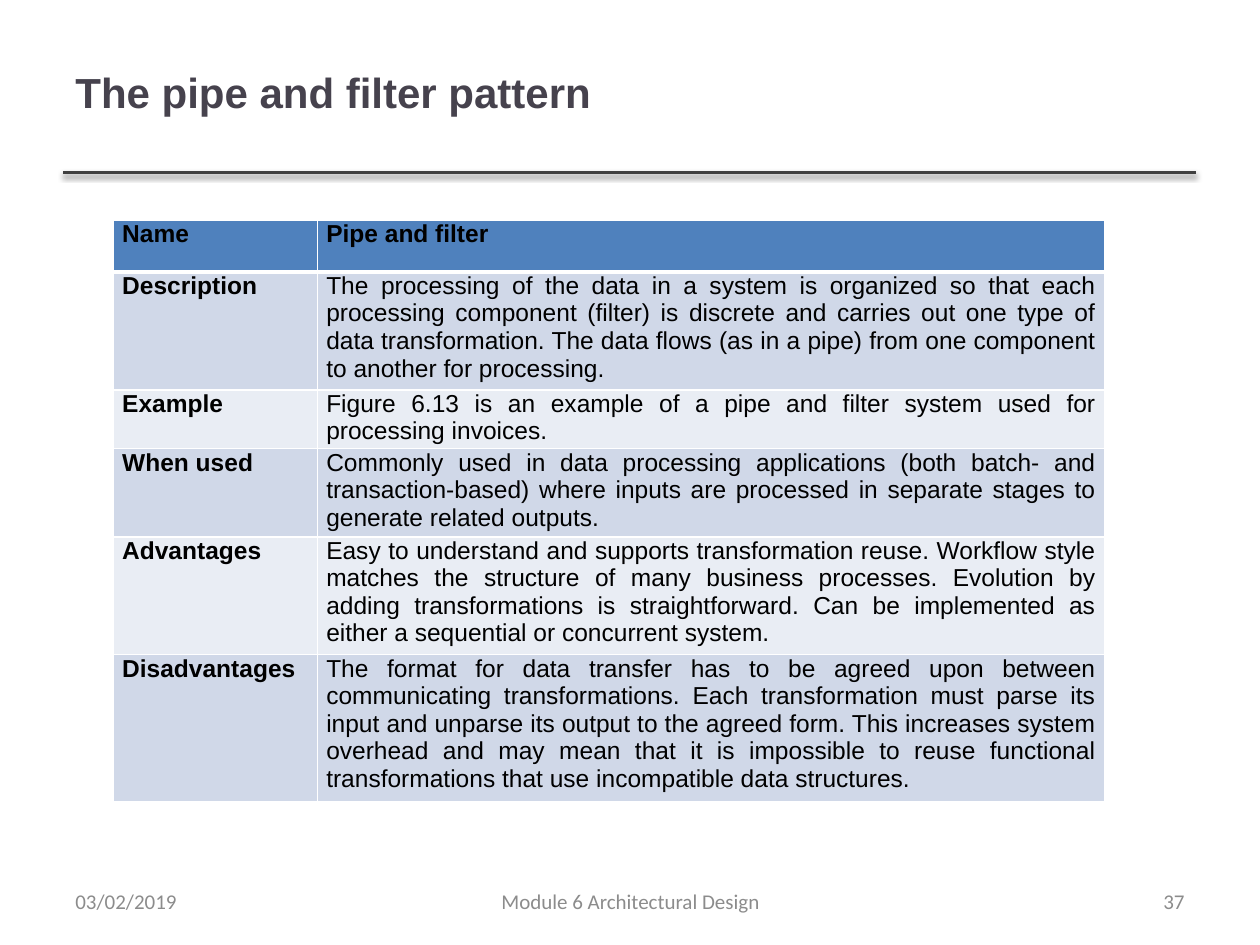
from lxml import etree
from pptx import Presentation
from pptx.dml.color import RGBColor
from pptx.enum.shapes import MSO_CONNECTOR
from pptx.enum.text import MSO_ANCHOR, PP_ALIGN
from pptx.oxml import parse_xml
from pptx.util import Inches, Pt

LEFT, CENTER, RIGHT, JUSTIFY = PP_ALIGN.LEFT, PP_ALIGN.CENTER, PP_ALIGN.RIGHT, PP_ALIGN.JUSTIFY
MIDDLE = MSO_ANCHOR.MIDDLE
NS = "http://schemas.openxmlformats.org/drawingml/2006/main"

BLACK = RGBColor(0x00, 0x00, 0x00)
TITLE_COLOR = RGBColor(0x46, 0x42, 0x4D)
RULE_COLOR = RGBColor(0x40, 0x40, 0x40)
FOOTER_COLOR = RGBColor(0x8C, 0x8C, 0x8C)
HEADER_FILL = RGBColor(0x4F, 0x81, 0xBD)
BAND_FILLS = [RGBColor(0xE9, 0xED, 0xF4), RGBColor(0xD0, 0xD8, 0xE8)]

# Content
TITLE = "The pipe and filter pattern"
ROWS = [
    ("Name", "Pipe and filter"),
    ("Description",
     "The processing of the data in a system is organized so that each processing component "
     "(filter) is discrete and carries out one type of data transformation. The data flows "
     "(as in a pipe) from one component to another for processing. "),
    ("Example",
     "Figure 6.13 is an example of a pipe and filter system used for processing invoices."),
    ("When used",
     "Commonly used in data processing applications (both batch- and transaction-based) where "
     "inputs are processed in separate stages to generate related outputs."),
    ("Advantages",
     "Easy to understand and supports transformation reuse. Workflow style matches the "
     "structure of many business processes. Evolution by adding transformations is "
     "straightforward. Can be implemented as either a sequential or concurrent system."),
    ("Disadvantages",
     "The format for data transfer has to be agreed upon between communicating "
     "transformations. Each transformation must parse its input and unparse its output to the "
     "agreed form. This increases system overhead and may mean that it is impossible to reuse "
     "functional transformations that use incompatible data structures."),
]
FOOTERS = [  # text, left, width, alignment
    ("03/02/2019", 0.5, 2.33, LEFT),
    ("Module 6 Architectural Design", 3.42, 3.17, CENTER),
    ("37", 7.17, 2.33, RIGHT),
]
COL_WIDTHS = [1.62, 6.25]
ROW_HEIGHT = 0.41


def add_run(p, text, font, size, color, bold=False):
    r = p.add_run()
    r.text = text
    r.font.name, r.font.size, r.font.bold = font, Pt(size), bold
    r.font.color.rgb = color


def add_text(s, box, text, font, size, color, bold=False, align=LEFT):
    tf = s.shapes.add_textbox(*map(Inches, box)).text_frame
    tf.word_wrap = True
    tf.vertical_anchor = MIDDLE
    p = tf.paragraphs[0]
    p.alignment = align
    add_run(p, text, font, size, color, bold)


def add_border(cell, side, width):
    cell._tc.get_or_add_tcPr().append(parse_xml(
        f'<a:ln{side} xmlns:a="{NS}" w="{Pt(width)}"><a:solidFill>'
        f'<a:srgbClr val="FFFFFF"/></a:solidFill></a:ln{side}>'))


prs = Presentation()
prs.slide_width, prs.slide_height = Inches(10), Inches(7.5)
s = prs.slides.add_slide(prs.slide_layouts[6])

# Title and the shadowed rule below it
rule = s.shapes.add_connector(MSO_CONNECTOR.STRAIGHT, Inches(0.5), Inches(1.37),
                              Inches(9.49), Inches(1.37))
rule.line.color.rgb = RULE_COLOR
rule.line.width = Pt(2)
effects = etree.SubElement(rule._element.spPr, f"{{{NS}}}effectLst")
effects.append(parse_xml(
    f'<a:outerShdw xmlns:a="{NS}" blurRad="{Pt(3.1)}" dist="{Pt(1.6)}" dir="5400000" '
    'rotWithShape="0"><a:srgbClr val="000000"><a:alpha val="38000"/></a:srgbClr></a:outerShdw>'))
add_text(s, (0.5, 0.1, 7.98, 1.25), TITLE, "Arial", 24, TITLE_COLOR, bold=True)

# Pattern table
table = s.shapes.add_table(len(ROWS), len(COL_WIDTHS), Inches(0.9), Inches(1.75),
                           Inches(sum(COL_WIDTHS)), Inches(ROW_HEIGHT * len(ROWS))).table
for column, width in zip(table.columns, COL_WIDTHS):
    column.width = Inches(width)
for i, row in enumerate(ROWS):
    table.rows[i].height = Inches(ROW_HEIGHT)
    for j, text in enumerate(row):
        cell = table.cell(i, j)
        cell.margin_left = cell.margin_right = Inches(0.07)
        cell.margin_top = cell.margin_bottom = 0
        for side in "LRTB":
            under_header = (i, side) in ((0, "B"), (1, "T"))
            add_border(cell, side, 3 if under_header else 1)
        cell.fill.solid()
        cell.fill.fore_color.rgb = BAND_FILLS[i % 2] if i else HEADER_FILL
        p = cell.text_frame.paragraphs[0]
        p.alignment = JUSTIFY
        add_run(p, text, "Arial", 14, BLACK, bold=i == 0 or j == 0)

# Footer
for text, left, width, align in FOOTERS:
    add_text(s, (left, 6.95, width, 0.4), text, "Calibri", 12, FOOTER_COLOR, align=align)

prs.save("out.pptx")
